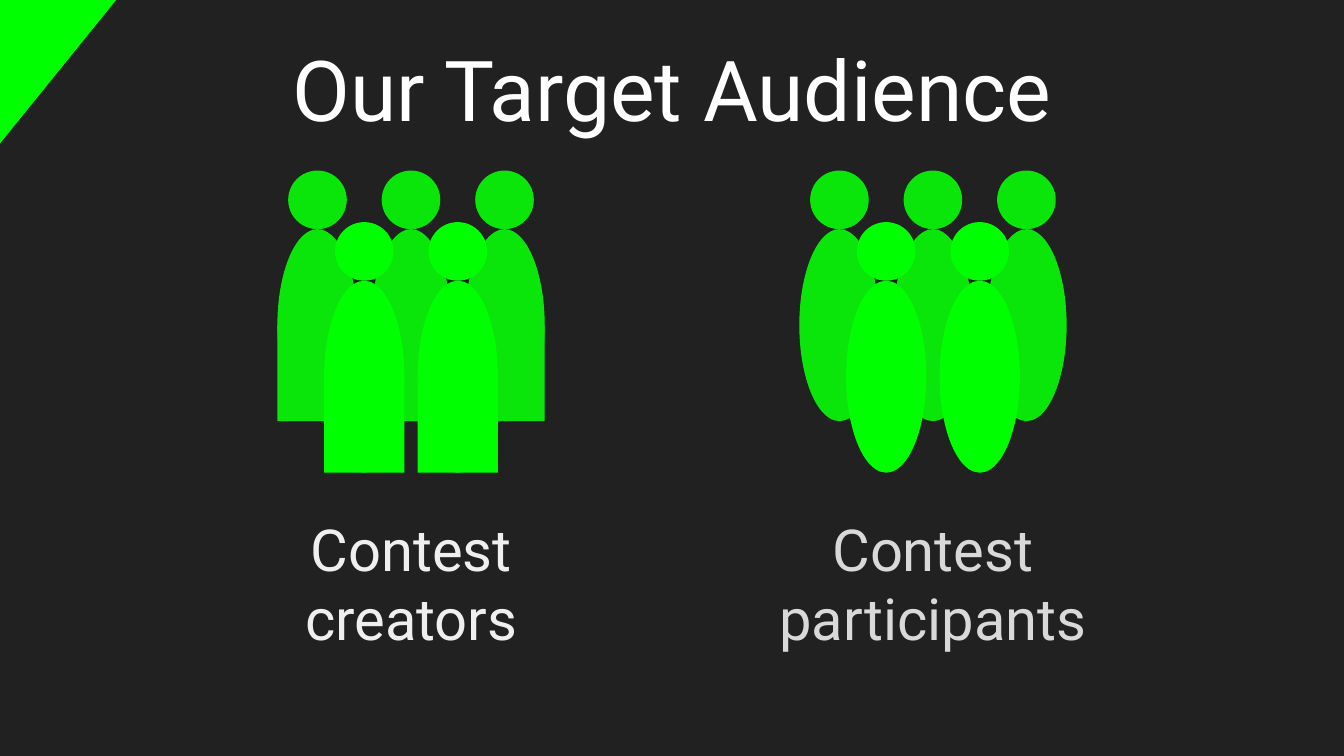
from dataclasses import dataclass

import pptx
import pptx.dml.color
import pptx.enum.shapes
import pptx.enum.text
import pptx.util

Pt = pptx.util.Pt
Color = pptx.dml.color.RGBColor
ShapeType = pptx.enum.shapes.MSO_SHAPE


@dataclass(frozen=True)
class Theme:
    font: str = "Roboto"
    background: str = "212121"
    title: str = "FFFFFF"
    front: str = "00FF00"
    back: str = "0AE60A"
    title_size: float = 45
    caption_size: float = 31


@dataclass(frozen=True)
class Audience:
    caption: str
    caption_color: str
    caption_left: float
    center: float
    square_base: bool


THEME = Theme()
SLIDE_WIDTH, SLIDE_HEIGHT = 720, 405
CAPTION_TOP, CAPTION_WIDTH, CAPTION_HEIGHT = 267.8, 440.6, 58.3
BODY_WIDTH, BODY_HEIGHT = 43, 102.8
HEAD_SIZE = 31.4
PERSON_STEP = 50.1
BACK_TOP, FRONT_TOP = 91.4, 119

AUDIENCES = [
    Audience("Contest\vcreators", "EFEFEF", 0, 220.2, True),
    Audience("Contest\vparticipants", "D9D9D9", SLIDE_WIDTH - CAPTION_WIDTH, 499.8, False),
]


def add_filled(shapes, kind, left: float, top: float, width: float, height: float, color: str):
    shape = shapes.add_shape(kind, Pt(left), Pt(top), Pt(width), Pt(height))
    shape.shadow.inherit = False
    shape.fill.solid()
    shape.fill.fore_color.rgb = Color.from_string(color)
    shape.line.fill.background()
    return shape


def write(shape, text: str, size: float, color: str) -> None:
    frame = shape.text_frame
    frame.text = text
    frame.word_wrap = True
    frame.auto_size = pptx.enum.text.MSO_AUTO_SIZE.NONE
    frame.vertical_anchor = pptx.enum.text.MSO_ANCHOR.TOP
    frame.margin_left = frame.margin_right = Pt(7.2)
    frame.margin_top = frame.margin_bottom = Pt(7.2)
    paragraph = frame.paragraphs[0]
    paragraph.alignment = pptx.enum.text.PP_ALIGN.CENTER
    for run in paragraph.runs:
        run.font.name = THEME.font
        run.font.size = Pt(size)
        run.font.color.rgb = Color.from_string(color)


def add_title(slide) -> None:
    title = slide.shapes.title
    title.left, title.top = Pt(0), Pt(13)
    title.width, title.height = Pt(SLIDE_WIDTH), Pt(69.1)
    write(title, "Our Target Audience", THEME.title_size, THEME.title)


def add_caption(slide, audience: Audience) -> None:
    caption = slide.shapes.add_textbox(
        Pt(audience.caption_left), Pt(CAPTION_TOP), Pt(CAPTION_WIDTH), Pt(CAPTION_HEIGHT)
    )
    write(caption, audience.caption, THEME.caption_size, audience.caption_color)


def add_person(slide, center: float, top: float, color: str, square_base: bool) -> None:
    shapes = slide.shapes.add_group_shape().shapes
    left = center - BODY_WIDTH / 2
    body_top = top + HEAD_SIZE
    add_filled(shapes, ShapeType.OVAL, left, body_top, BODY_WIDTH, BODY_HEIGHT, color)
    add_filled(shapes, ShapeType.OVAL, center - HEAD_SIZE / 2, top, HEAD_SIZE, HEAD_SIZE, color)
    if square_base:
        half = BODY_HEIGHT / 2
        add_filled(shapes, ShapeType.RECTANGLE, left, body_top + half, BODY_WIDTH, half, color)


def add_crowd(slide, audience: Audience) -> None:
    """Draw three people in the back row and two between them in front."""
    for count, top, color in ((3, BACK_TOP, THEME.back), (2, FRONT_TOP, THEME.front)):
        for index in range(count):
            offset = (index - (count - 1) / 2) * PERSON_STEP
            add_person(slide, audience.center + offset, top, color, audience.square_base)


def main() -> None:
    presentation = pptx.Presentation()
    presentation.slide_width = Pt(SLIDE_WIDTH)
    presentation.slide_height = Pt(SLIDE_HEIGHT)
    title_only = presentation.slide_layouts.get_by_name("Title Only")
    slide = presentation.slides.add_slide(title_only)
    slide.background.fill.solid()
    slide.background.fill.fore_color.rgb = Color.from_string(THEME.background)

    add_title(slide)
    for audience in AUDIENCES:
        add_caption(slide, audience)
    for audience in reversed(AUDIENCES):
        add_crowd(slide, audience)
    corner = add_filled(
        slide.shapes, ShapeType.RECTANGLE, -47.5, -97.9, 95, 198.7, THEME.front
    )
    corner.rotation = 39
    presentation.save("out.pptx")


if __name__ == "__main__":
    main()
